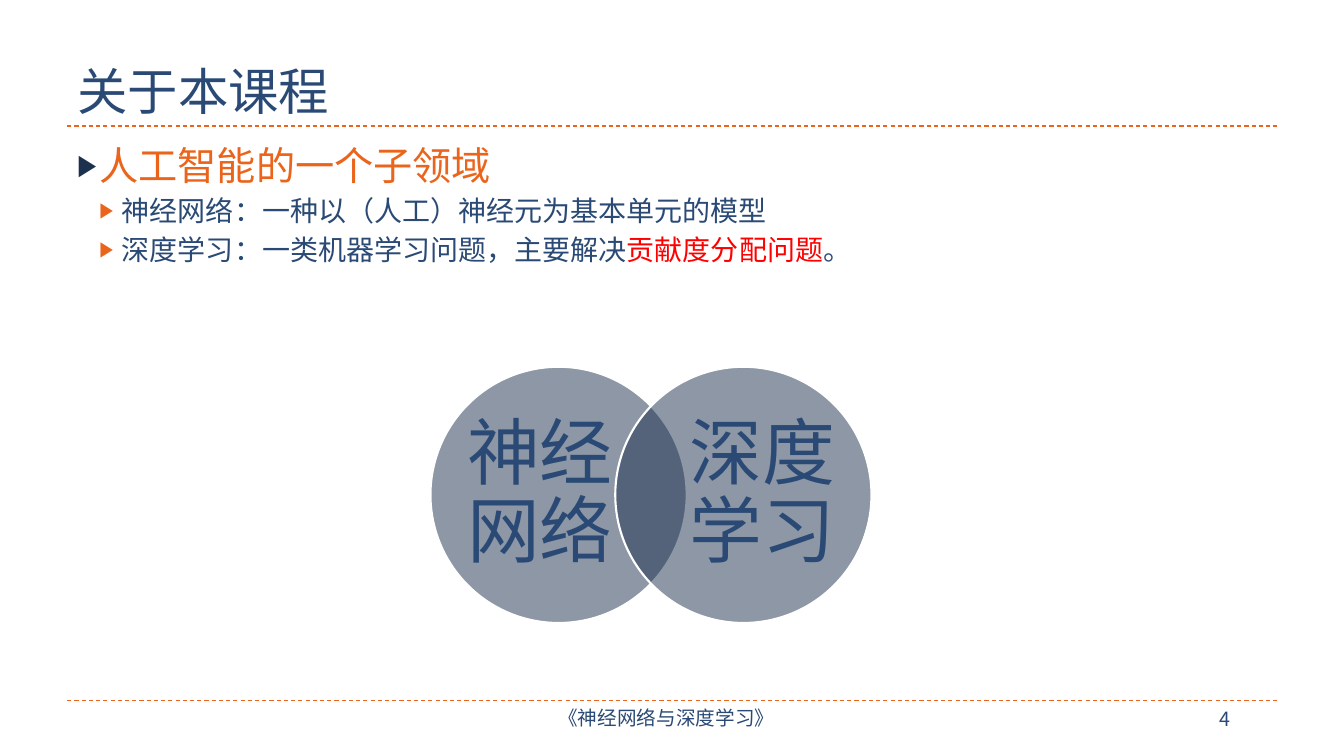
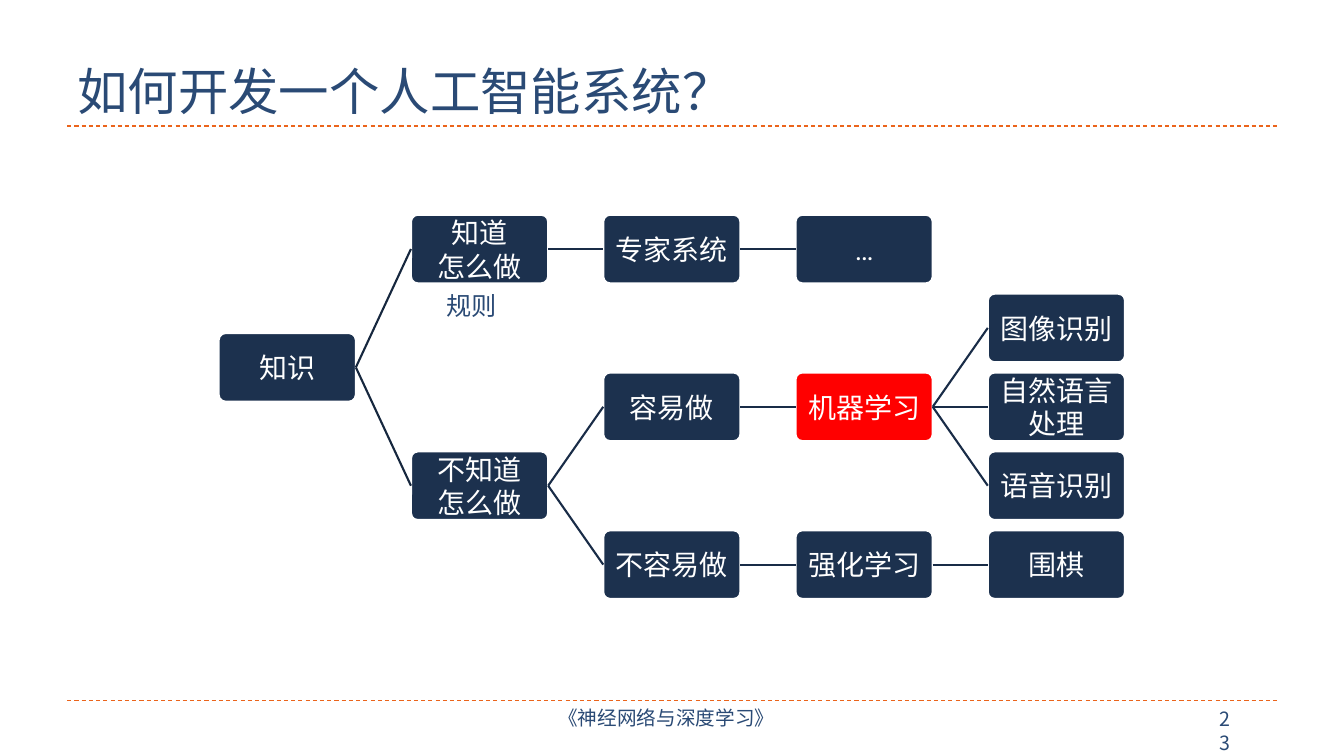
"""Builds two course slides: a Venn diagram of the subject and a tree of AI approaches."""
import pptx
import pptx.util
import pptx.dml.color
import pptx.enum.dml
import pptx.enum.shapes
import pptx.enum.text
import pptx.oxml.ns
import lxml.etree

Pt = pptx.util.Pt
RGB = pptx.dml.color.RGBColor.from_string
qn = pptx.oxml.ns.qn
ALIGN = pptx.enum.text.PP_ALIGN
ANCHOR = pptx.enum.text.MSO_ANCHOR
SHAPE = pptx.enum.shapes.MSO_SHAPE
COLORS = {
    "text": "2A4A75", "navy": "1C314E", "orange": "EB641B", "red": "FF0000",
    "white": "FFFFFF", "branch": "16273E", "link": "192C47",
}
CJK = "Noto Sans CJK SC"


def write(sp, text, size=20, color="text", font=CJK, align=ALIGN.LEFT,
          anchor=ANCHOR.TOP, insets=(7.2, 3.6), spacing=None):
    """Fill a shape with lines of text; a line is a string or a list of (text, color) runs."""
    tf = sp.text_frame
    tf.word_wrap = True
    tf.auto_size = pptx.enum.text.MSO_AUTO_SIZE.NONE
    tf.vertical_anchor = anchor
    tf.margin_left = tf.margin_right = Pt(insets[0])
    tf.margin_top = tf.margin_bottom = Pt(insets[1])
    lines = text.split("\n") if isinstance(text, str) else text
    for i, line in enumerate(lines):
        p = tf.add_paragraph() if i else tf.paragraphs[0]
        p.alignment = align
        if spacing:
            p.line_spacing = spacing
        for words, run_color in [(line, color)] if isinstance(line, str) else line:
            r = p.add_run()
            r.text = words
            r.font.size = Pt(size)
            r.font.color.rgb = RGB(COLORS[run_color])
            r.font.name = font
            ea = lxml.etree.SubElement(r.font._element, qn("a:ea"))
            ea.set("typeface", font)


def add_line(sl, x1, y1, x2, y2, color, width):
    """Draw a straight connector without a shadow."""
    cx = sl.shapes.add_connector(pptx.enum.shapes.MSO_CONNECTOR.STRAIGHT,
                                 Pt(x1), Pt(y1), Pt(x2), Pt(y2))
    cx.line.color.rgb = RGB(COLORS[color])
    cx.line.width = Pt(width)
    lxml.etree.SubElement(cx._element.spPr, qn("a:effectLst"))
    return cx


prs = pptx.Presentation()
prs.slide_width, prs.slide_height = Pt(960), Pt(540)

slides = []
for title, number in [("关于本课程", "4"), ("如何开发一个人工智能系统？", "23")]:
    sl = prs.slides.add_slide(prs.slide_layouts[5])
    slides.append(sl)
    for y in (90, 500.4):
        rule = add_line(sl, 48, y, 912, y, "orange", 0.75)
        rule.line.dash_style = pptx.enum.dml.MSO_LINE.DASH
    footer = sl.shapes.add_textbox(Pt(320), Pt(501), Pt(312), Pt(29))
    write(footer, "《神经网络与深度学习》", size=14, align=ALIGN.CENTER,
          insets=(5, 2.9), spacing=Pt(17))
    page = sl.shapes.add_textbox(Pt(864), Pt(501), Pt(29.5), Pt(24.5))
    write(page, number, size=14, spacing=Pt(17))
    sp = sl.shapes.title
    sp.left, sp.top, sp.width, sp.height = Pt(48), Pt(12), Pt(864), Pt(78)
    write(sp, title, size=36, anchor=ANCHOR.BOTTOM)

about, tree = slides

body = about.shapes.add_textbox(Pt(48), Pt(96), Pt(864), Pt(388.8))
write(body, [
    [("人工智能的一个子领域", "orange")],
    "神经网络：一种以（人工）神经元为基本单元的模型",
    [("深度学习：一类机器学习问题，主要解决", "text"), ("贡献度分配问题", "red"), ("。", "text")],
])
for i, p in enumerate(body.text_frame.paragraphs):
    p.level = min(i, 1)
    p.line_spacing = Pt(24 if i else 35)
    if i:
        p.space_before = Pt(3.8)
    else:
        p.runs[0].font.size = Pt(28)
    pPr = p._p.get_or_add_pPr()
    pPr.set("marL", str(Pt(32 if i else 16)))
    pPr.set("indent", str(-Pt(16)))
    clr = lxml.etree.SubElement(pPr, qn("a:buClr"))
    lxml.etree.SubElement(clr, qn("a:srgbClr")).set("val", COLORS["orange" if i else "navy"])
    lxml.etree.SubElement(pPr, qn("a:buSzPct")).set("val", "76000")
    lxml.etree.SubElement(pPr, qn("a:buFont")).set("typeface", "Arial")
    lxml.etree.SubElement(pPr, qn("a:buChar")).set("char", "▶")

for circle_left, label_left, label in [(307.5, 332.6, "神经网络"), (439.5, 491.8, "深度学习")]:
    circle = about.shapes.add_shape(SHAPE.OVAL, Pt(circle_left), Pt(262), Pt(183), Pt(183))
    circle.shadow.inherit = False
    circle.fill.solid()
    circle.fill.fore_color.rgb = RGB(COLORS["navy"])
    fill_color = circle._element.spPr.find(qn("a:solidFill")).find(qn("a:srgbClr"))
    lxml.etree.SubElement(fill_color, qn("a:alpha")).set("val", "50000")
    circle.line.color.rgb = RGB(COLORS["white"])
    circle.line.width = Pt(1.5)
    sp = about.shapes.add_textbox(Pt(label_left), Pt(283.7), Pt(106), Pt(139.7))
    write(sp, label, size=52, font="Roboto", align=ALIGN.CENTER, anchor=ANCHOR.MIDDLE,
          insets=(0, 0), spacing=0.9)

LEFT, TOP, COL, ROW = 156.2, 153.4, 137.35, 56.35
NODE_W, NODE_H = 98, 49
nodes = [
    ("知识", 0, 1.5, None),
    ("知道\n怎么做", 1, 0, 0),
    ("专家系统", 2, 0, 1),
    ("…", 3, 0, 2),
    ("不知道\n怎么做", 1, 3, 0),
    ("容易做", 2, 2, 4),
    ("机器学习", 3, 2, 5),
    ("图像识别", 4, 1, 6),
    ("自然语言处理", 4, 2, 6),
    ("语音识别", 4, 3, 6),
    ("不容易做", 2, 4, 4),
    ("强化学习", 3, 4, 10),
    ("围棋", 4, 4, 11),
]
boxes = []
for label, col, row, parent in nodes:
    sp = tree.shapes.add_shape(SHAPE.ROUNDED_RECTANGLE, Pt(LEFT + col * COL),
                               Pt(TOP + row * ROW), Pt(NODE_W), Pt(NODE_H))
    sp.adjustments[0] = 0.1
    sp.shadow.inherit = False
    sp.fill.solid()
    sp.fill.fore_color.rgb = RGB(COLORS["red" if label == "机器学习" else "navy"])
    sp.line.color.rgb = RGB(COLORS["white"])
    sp.line.width = Pt(1.5)
    write(sp, label, color="white", font="Roboto", align=ALIGN.CENTER,
          anchor=ANCHOR.MIDDLE, insets=(2, 2))
    boxes.append(sp)
    if parent is not None:
        cx = add_line(tree, 0, 0, 0, 0, "branch" if parent == 0 else "link", 1.5)
        cx.begin_connect(boxes[parent], 3)
        cx.end_connect(sp, 1)

note = tree.shapes.add_textbox(Pt(311.8), Pt(203.8), Pt(51.2), Pt(29))
write(note, "规则", size=18, font="Arial")

prs.save("out.pptx")
